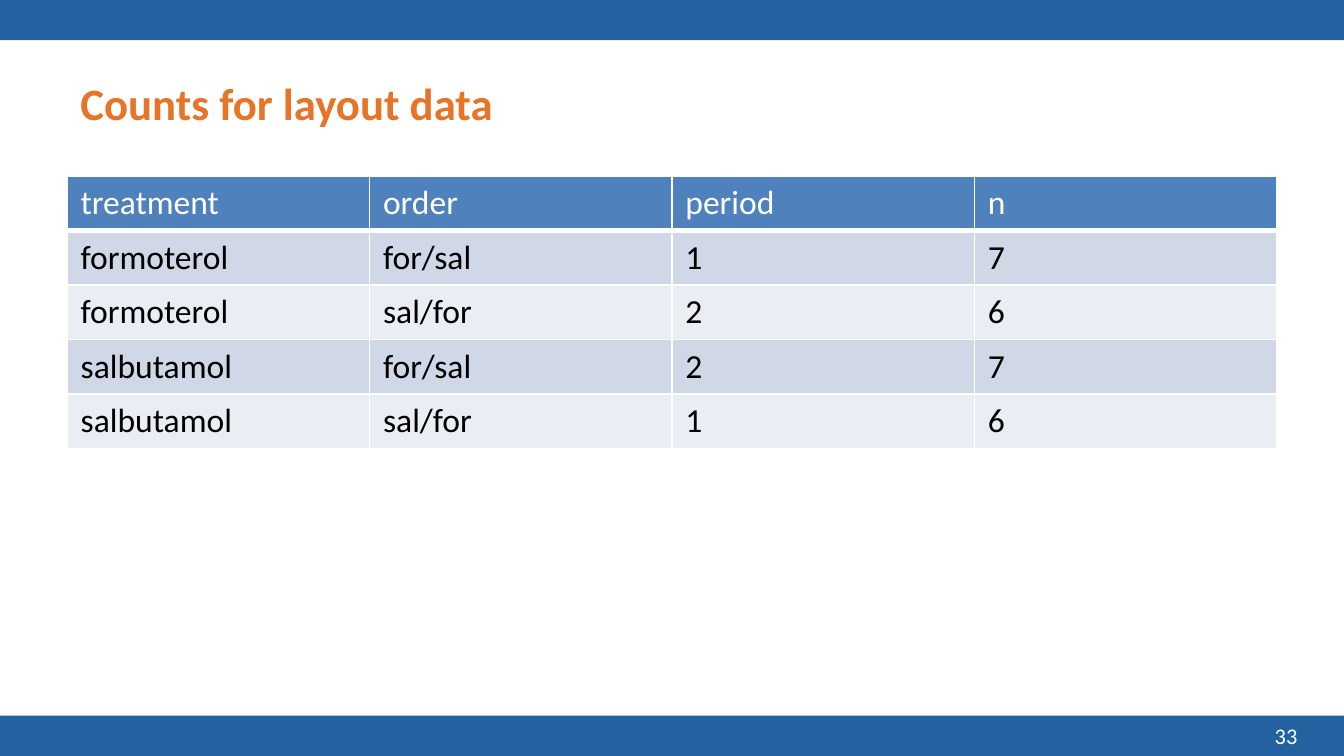
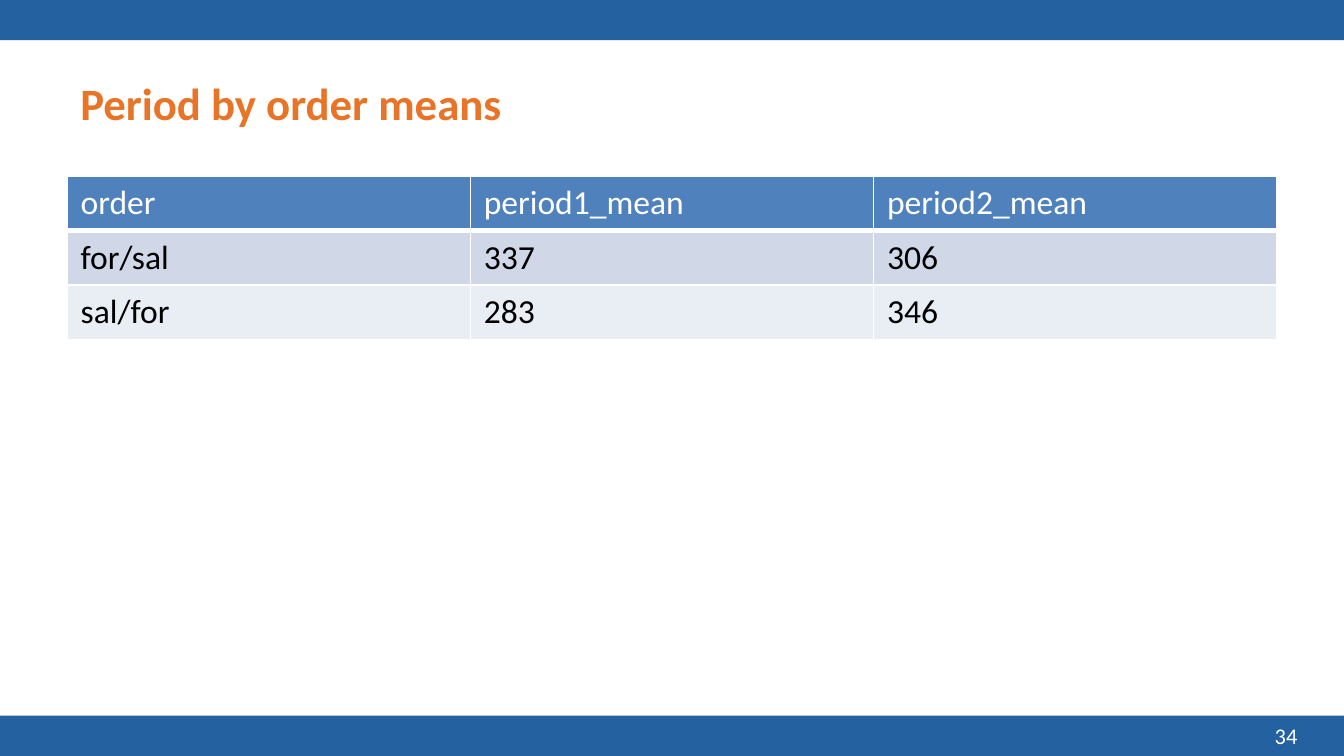
"""Build two table slides on treatment counts and period means."""
import dataclasses

import pptx
import pptx.dml.color
import pptx.enum.shapes
import pptx.enum.text
import pptx.oxml
import pptx.oxml.ns
import pptx.util

Cm = pptx.util.Cm
Pt = pptx.util.Pt
RGB = pptx.dml.color.RGBColor.from_string
ALIGN = pptx.enum.text.PP_ALIGN
MIDDLE = pptx.enum.text.MSO_ANCHOR.MIDDLE


@dataclasses.dataclass(frozen=True)
class Theme:
    font: str = "Calibri"
    band: str = "2361A1"
    title: str = "E87427"
    header: str = "4F81BD"
    stripes: tuple = ("D0D8E8", "E9EDF4")
    text: str = "000000"
    light: str = "FFFFFF"
    title_size: int = 24
    table_size: int = 18
    number_size: int = 12
    width: float = 25.4
    height: float = 14.29
    band_height: float = 0.76
    margin: float = 1.27
    row_height: float = 1.03


class Deck:
    def __init__(self, theme):
        self.theme = theme
        self.prs = pptx.Presentation()
        self.prs.slide_width = Cm(theme.width)
        self.prs.slide_height = Cm(theme.height)
        self.content_width = theme.width - 2 * theme.margin
        self.footer_top = theme.height - theme.band_height

    def add_slide(self, title, number):
        t = self.theme
        self.s = self.prs.slides.add_slide(self.prs.slide_layouts[6])
        for top in (0, self.footer_top):
            self.band(top)
        self.text(title, (t.margin, 0.74, self.content_width, 2.39),
                  t.title_size, t.title, bold=True)
        self.text(str(number), (18.85, self.footer_top, 5.92, t.band_height),
                  t.number_size, t.light, align=ALIGN.RIGHT)

    def band(self, top):
        t = self.theme
        sp = self.s.shapes.add_shape(
            pptx.enum.shapes.MSO_SHAPE.RECTANGLE,
            0, Cm(top), Cm(t.width), Cm(t.band_height))
        sp.shadow.inherit = False
        sp.fill.solid()
        sp.fill.fore_color.rgb = RGB(t.band)
        sp.line.fill.background()

    def style(self, p, size, color, bold=False):
        p.font.name = self.theme.font
        p.font.size = Pt(size)
        p.font.bold = bold
        p.font.color.rgb = RGB(color)

    def text(self, text, box, size, color, bold=False, align=ALIGN.LEFT):
        tf = self.s.shapes.add_textbox(*map(Cm, box)).text_frame
        tf.word_wrap = True
        tf.vertical_anchor = MIDDLE
        p = tf.paragraphs[0]
        p.text = text
        p.alignment = align
        self.style(p, size, color, bold)

    def borders(self, cell, bottom):
        tc_pr = cell._tc.get_or_add_tcPr()
        for side, width in zip("LRTB", (1, 1, 1, bottom)):
            tc_pr.append(pptx.oxml.parse_xml(
                f'<a:ln{side} {pptx.oxml.ns.nsdecls("a")} w="{Pt(width)}">'
                f'<a:solidFill><a:srgbClr val="{self.theme.light}"/>'
                f'</a:solidFill></a:ln{side}>'))

    def table(self, rows):
        t = self.theme
        n_cols = len(rows[0])
        table = self.s.shapes.add_table(
            len(rows), n_cols, Cm(t.margin), Cm(3.33),
            Cm(self.content_width), Cm(t.row_height * len(rows))).table
        for col in table.columns:
            col.width = Cm(self.content_width / n_cols)
        for i, row in enumerate(rows):
            is_header = i == 0
            fill = t.header if is_header else t.stripes[(i - 1) % 2]
            for j, value in enumerate(row):
                cell = table.cell(i, j)
                self.borders(cell, 3 if is_header else 1)
                cell.fill.solid()
                cell.fill.fore_color.rgb = RGB(fill)
                cell.text = value
                self.style(cell.text_frame.paragraphs[0], t.table_size,
                           t.light if is_header else t.text)


COUNTS = [
    ("treatment", "order", "period", "n"),
    ("formoterol", "for/sal", "1", "7"),
    ("formoterol", "sal/for", "2", "6"),
    ("salbutamol", "for/sal", "2", "7"),
    ("salbutamol", "sal/for", "1", "6"),
]
MEANS = [
    ("order", "period1_mean", "period2_mean"),
    ("for/sal", "337", "306"),
    ("sal/for", "283", "346"),
]


def main():
    deck = Deck(Theme())
    slides = [("Counts for layout data", COUNTS),
              ("Period by order means", MEANS)]
    for number, (title, rows) in enumerate(slides, start=33):
        deck.add_slide(title, number)
        deck.table(rows)
    deck.prs.save("out.pptx")


if __name__ == "__main__":
    main()
